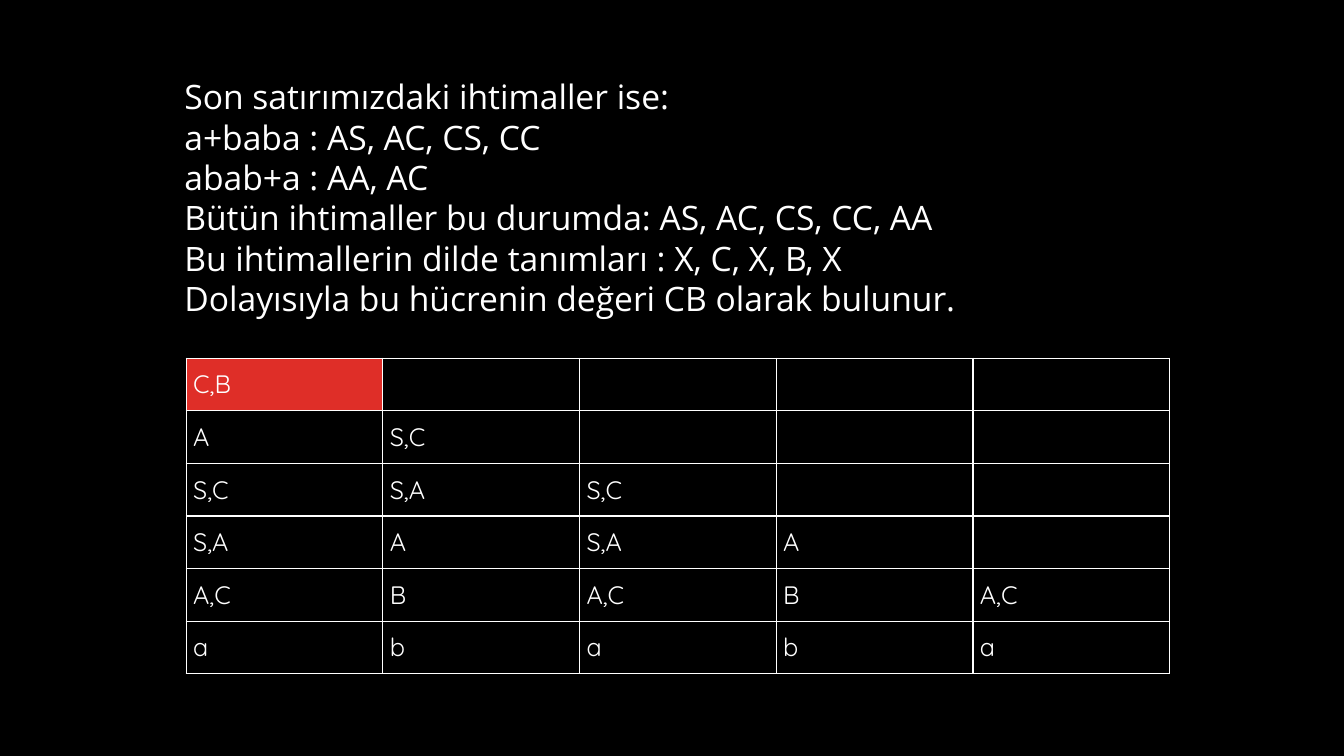
from lxml import etree
from pptx import Presentation
from pptx.dml.color import RGBColor
from pptx.enum.text import MSO_ANCHOR
from pptx.oxml.ns import qn
from pptx.util import Pt

BLACK = RGBColor(0x00, 0x00, 0x00)
WHITE = RGBColor(0xFF, 0xFF, 0xFF)
RED = RGBColor(0xDF, 0x2E, 0x28)
MIDDLE = MSO_ANCHOR.MIDDLE

EXPLANATION = [
    "Son satırımızdaki ihtimaller ise:",
    "a+baba : AS, AC, CS, CC",
    "abab+a : AA, AC",
    "Bütün ihtimaller bu durumda: AS, AC, CS, CC, AA",
    "Bu ihtimallerin dilde tanımları : X, C, X, B, X",
    "Dolayısıyla bu hücrenin değeri CB olarak bulunur.",
]
CYK_ROWS = [
    ["C,B"],
    ["A", "S,C"],
    ["S,C", "S,A", "S,C"],
    ["S,A", "A", "S,A", "A"],
    ["A,C", "B", "A,C", "B", "A,C"],
    ["a", "b", "a", "b", "a"],
]
COLUMN_COUNT = 5
COLUMN_WIDTH = Pt(140.5)
ROW_HEIGHT = Pt(37.6)


def add_span(para, text, font_name, size):
    span = para.add_run()
    span.text = text
    span.font.name = font_name
    span.font.size = Pt(size)
    span.font.color.rgb = WHITE


def add_borders(cell):
    """Draw a white 1 pt line on each side of the cell."""
    properties = cell._tc.get_or_add_tcPr()
    for position, side in enumerate(("a:lnL", "a:lnR", "a:lnT", "a:lnB")):
        line = etree.Element(qn(side), w=str(Pt(1)))
        fill = etree.SubElement(line, qn("a:solidFill"))
        etree.SubElement(fill, qn("a:srgbClr"), val=str(WHITE))
        properties.insert(position, line)


deck = Presentation()
deck.slide_width = Pt(960)
deck.slide_height = Pt(540)
page = deck.slides.add_slide(deck.slide_layouts[6])
page.background.fill.solid()
page.background.fill.fore_color.rgb = BLACK

table = page.shapes.add_table(
    len(CYK_ROWS), COLUMN_COUNT, Pt(133), Pt(255.8),
    COLUMN_WIDTH * COLUMN_COUNT, ROW_HEIGHT * len(CYK_ROWS),
).table
table.first_row = False
table.horz_banding = False
for column in table.columns:
    column.width = COLUMN_WIDTH
for row_index, symbols in enumerate(CYK_ROWS):
    table.rows[row_index].height = ROW_HEIGHT
    for column_index in range(COLUMN_COUNT):
        cell = table.cell(row_index, column_index)
        cell.vertical_anchor = MIDDLE
        cell.margin_left = cell.margin_right = Pt(5)
        cell.margin_top = cell.margin_bottom = Pt(4.3)
        cell.fill.solid()
        cell.fill.fore_color.rgb = RED if row_index == column_index == 0 else BLACK
        add_borders(cell)
        if column_index < len(symbols):
            add_span(cell.text_frame.paragraphs[0], symbols[column_index], "Quicksand", 18)

box = page.shapes.add_textbox(Pt(124.6), Pt(50.2), Pt(711.4), Pt(181.4))
frame = box.text_frame
frame.word_wrap = True
frame.vertical_anchor = MIDDLE
for index, sentence in enumerate(EXPLANATION):
    para = frame.paragraphs[0] if index == 0 else frame.add_paragraph()
    para.line_spacing = Pt(28.8)
    add_span(para, sentence, "Open Sans", 24)

deck.save("out.pptx")
